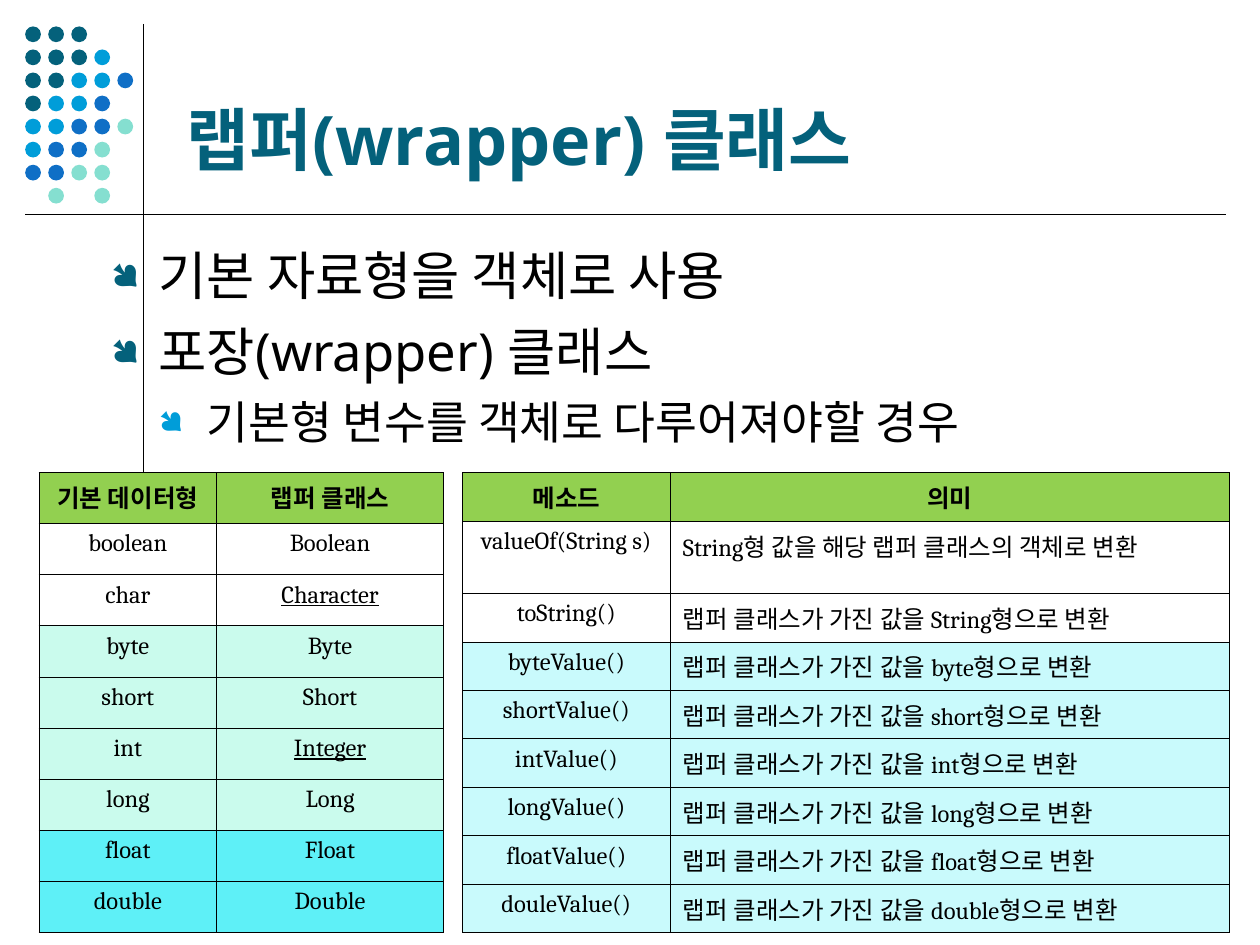
from lxml import etree
from pptx import Presentation
from pptx.dml.color import RGBColor
from pptx.enum import shapes, text
from pptx.oxml import ns
from pptx.util import Emu, Inches, Pt

GRID_COLS, GRID_ROWS = 100, 75
BLACK, WHITE, TEAL, SKY, BLUE, MINT = (
    "000000", "FFFFFF", "04617B", "009DD9", "0F6FC6", "85DFD0")
HEADER, PALE_GREEN, PALE_BLUE, CYAN = "92D050", "CAFBED", "C9FAFC", "5EF0F7"
CENTER, LEFT = text.PP_ALIGN.CENTER, text.PP_ALIGN.LEFT


def rgb(value):
    return RGBColor.from_string(value)


def add_xml(parent, tag, **attributes):
    return etree.SubElement(parent, ns.qn(tag), attributes)


def write(paragraph, words, size, font="Noto Sans", color=BLACK, bold=False,
          underline=False, align=LEFT):
    run = paragraph.add_run()
    run.text = words
    run.font.size, run.font.name = Pt(size), font
    run.font.bold, run.font.underline = bold, underline
    run.font.color.rgb = rgb(color)
    add_xml(run.font._element, "a:ea", typeface="Noto Sans CJK KR")
    paragraph.alignment = align


class Deck:
    """Current slide, measured on a grid of 100 columns by 75 rows."""

    def __init__(self):
        self.prs = Presentation()
        self.prs.slide_width, self.prs.slide_height = Inches(10), Inches(7.5)
        self.slide = self.prs.slides.add_slide(self.prs.slide_layouts[1])
        self.shapes = self.slide.shapes

    def col(self, count):
        return Emu(round(self.prs.slide_width * count / GRID_COLS))

    def row(self, count):
        return Emu(round(self.prs.slide_height * count / GRID_ROWS))

    def box(self, left, top, width, height):
        return self.col(left), self.row(top), self.col(width), self.row(height)

    def place(self, holder, *area):
        holder.left, holder.top, holder.width, holder.height = self.box(*area)
        holder.text_frame.word_wrap = True
        holder.text_frame.auto_size = text.MSO_AUTO_SIZE.NONE
        return holder.text_frame

    def title(self, words, *area):
        frame = self.place(self.shapes.title, *area)
        frame.vertical_anchor = text.MSO_ANCHOR.BOTTOM
        write(frame.paragraphs[0], words, 39, color=TEAL, bold=True)

    def bullets(self, items, *area):
        frame = self.place(self.slide.placeholders[1], *area)
        frame.vertical_anchor = text.MSO_ANCHOR.TOP
        styles = [(30, 7.5, TEAL), (26, 6.5, SKY)]
        for index, (level, words) in enumerate(items):
            paragraph = frame.add_paragraph() if index else frame.paragraphs[0]
            size, gap, dot_color = styles[level]
            write(paragraph, words, size)
            paragraph.level, paragraph.space_before = level, Pt(gap)
            props = paragraph._p.get_or_add_pPr()
            props.set("marL", str(self.col(3.8 * (level + 1))))
            props.set("indent", str(-self.col(3.8)))
            add_xml(add_xml(props, "a:buClr"), "a:srgbClr", val=dot_color)
            add_xml(props, "a:buSzPct", val="70000")
            add_xml(props, "a:buFont", typeface="Wingdings")
            add_xml(props, "a:buChar", char="●")

    def line(self, x1, y1, x2, y2):
        rule = self.shapes.add_connector(
            shapes.MSO_CONNECTOR.STRAIGHT,
            self.col(x1), self.row(y1), self.col(x2), self.row(y2))
        rule.line.color.rgb, rule.line.width = rgb(BLACK), Pt(0.75)
        add_xml(rule._element.spPr, "a:effectLst")

    def dot(self, left, top, size, color):
        dot = self.shapes.add_shape(
            shapes.MSO_SHAPE.OVAL, *self.box(left, top, size, size))
        dot.shadow.inherit = False
        dot.fill.solid()
        dot.fill.fore_color.rgb = rgb(color)
        dot.line.fill.background()

    def cell(self, cell, words, fill, **style):
        props = cell._tc.get_or_add_tcPr()
        for side in ("a:lnL", "a:lnR", "a:lnT", "a:lnB"):
            border = add_xml(props, side, w=str(Pt(0.45)))
            add_xml(add_xml(border, "a:solidFill"), "a:srgbClr", val=BLACK)
        cell.fill.solid()
        cell.fill.fore_color.rgb = rgb(fill)
        write(cell.text_frame.paragraphs[0], words, 14, "Cambria", **style)

    def table(self, left, top, widths, heights, records, fills, aligns,
              underlined=()):
        table = self.shapes.add_table(
            len(records), len(widths),
            *self.box(left, top, sum(widths), sum(heights))).table
        for column, width in zip(table.columns, widths):
            column.width = self.col(width)
        for r, (record, height, fill) in enumerate(zip(records, heights, fills)):
            table.rows[r].height = self.row(height)
            for c, words in enumerate(record):
                self.cell(table.cell(r, c), words, fill, bold=r == 0,
                          underline=words in underlined,
                          align=CENTER if r == 0 else aligns[c])


def main():
    deck = Deck()

    # Title and list
    deck.title("랩퍼(wrapper) 클래스", 13.8, 2.1, 82.5, 12.6)
    deck.bullets([(0, "기본 자료형을 객체로 사용"),
                  (0, "포장(wrapper) 클래스"),
                  (1, "기본형 변수를 객체로 다루어져야할 경우")],
                 7.8, 18.8, 89.1, 48.2)

    # Crossing rules and dot pattern
    deck.line(11.4, 1.9, 11.4, 68.2)
    deck.line(2, 17, 97.3, 17)
    dot_colors = {"T": TEAL, "S": SKY, "B": BLUE, "M": MINT}
    pattern = ["TTT", "TTTS", "TTSSB", "TSSB", "SSBBM", "SBBM", "BBMM", " M M"]
    for r, codes in enumerate(pattern):
        for c, code in enumerate(codes):
            if code in dot_colors:
                deck.dot(2 + 1.83 * c, 2.1 + 1.83 * r, 1.25, dot_colors[code])

    # Primitive types and their wrappers
    primitives = ["boolean", "char", "byte", "short", "int", "long",
                  "float", "double"]
    longer_names = {"char": "Character", "int": "Integer"}
    wrappers = [(name, longer_names.get(name, name.capitalize()))
                for name in primitives]
    deck.table(3.1, 37.5, [14.1, 18], [36.5 / 9] * 9,
               [("기본 데이터형", "랩퍼 클래스")] + wrappers,
               [HEADER] + [WHITE] * 2 + [PALE_GREEN] * 4 + [CYAN] * 2,
               [CENTER, CENTER], underlined=longer_names.values())

    # Methods and their meaning
    conversions = [("toString()", "String")] + [
        (f"{name}Value()", name) for name in primitives[2:-1]]
    conversions.append(("douleValue()", "double"))
    methods = [("메소드", "의미"),
               ("valueOf(String s)", "String형 값을 해당 랩퍼 클래스의 객체로 변환")]
    methods += [(method, f"랩퍼 클래스가 가진 값을 {kind}형으로 변환")
                for method, kind in conversions]
    deck.table(36.7, 37.5, [16.5, 44.4], [3.9, 5.7] + [3.85] * 7, methods,
               [HEADER] + [WHITE] * 2 + [PALE_BLUE] * 6, [CENTER, LEFT])

    deck.prs.save("out.pptx")


if __name__ == "__main__":
    main()
